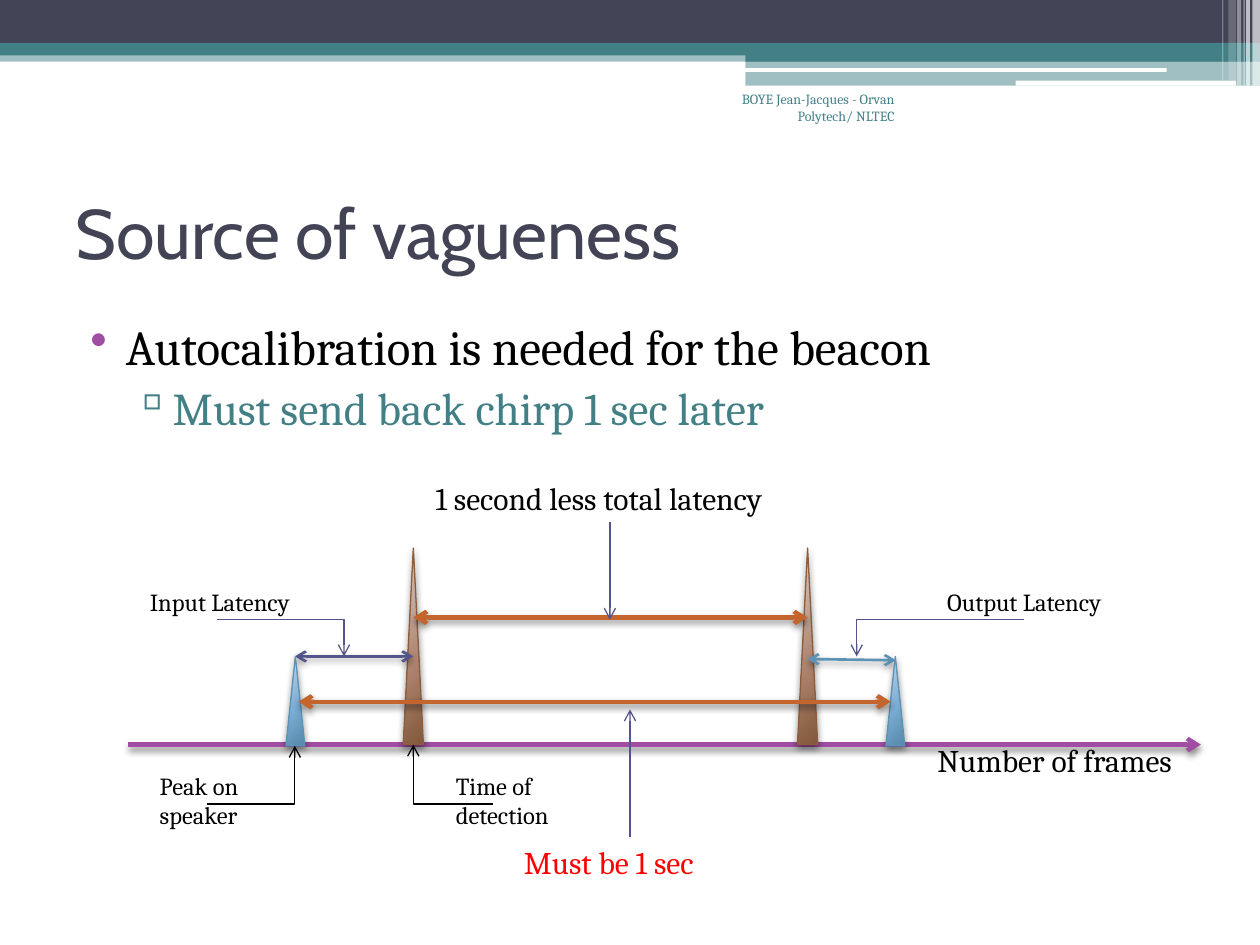
from pptx import Presentation
from pptx.dml.color import RGBColor
from pptx.enum.shapes import MSO_CONNECTOR, MSO_SHAPE
from pptx.enum.text import MSO_ANCHOR, PP_ALIGN
from pptx.oxml import parse_xml
from pptx.oxml.ns import nsdecls, qn
from pptx.util import Pt

HEX = {
    "navy": "424456", "teal": "438086", "white": "FFFFFF", "black": "000000",
    "red": "FF0000", "purple": "A04DA3", "indigo": "53548A",
    "orange": "C4652D", "blue": "5C92B5", "brown": "8B5D3D",
}
GRADS = {
    "brown": ("DBCCC6", "B18874", "825739"),
    "blue": ("C7D9EA", "7CADD4", "5688A9"),
}

BANDS = [
    (0, 28.8, 720, 6.5, "teal", 50),
    (0, 0, 720, 24.5, "navy", 100),
    (0, 24.5, 720, 7.2, "teal", 100),
    (426, 28.1, 294, 7.2, "teal", 100),
    (426, 34.6, 294, 14.4, "teal", 50),
]
PILLS = [(425.5, 38.9, 241.2, 2.2), (580.3, 46.1, 126, 2.9)]
STRIPES = [
    (715.7, 4.3, 49, 65), (712.1, 2.2, 49, 65), (710.6, 0.7, 49, 60),
    (707, 2.2, 49, 40), (702, 4.3, 46, 20), (698.4, 0.7, 46, 30),
]

TITLE = "Source of vagueness"
BODY = [
    ("Autocalibration is needed for the beacon",
     dict(size=28, bullet="•", tint="purple", left=28.8, hang=20.2)),
    ("Must send back chirp 1 sec later",
     dict(size=26, color="teal", level=1, bullet="▫", tint="teal",
          left=51.8, hang=19.4)),
]
CREDIT = "BOYE Jean-Jacques - Orvan Polytech/ NLTEC"
LABELS = [
    ("Number of frames", (528.5, 419.8, 174.2, 28.8), 18, "black"),
    ("Peak on speaker", (84.2, 437, 78.5, 41), 14, "black"),
    ("Time of detection", (253.4, 437, 90, 41), 14, "black"),
    ("Output Latency", (534.2, 331.9, 123.8, 24.5), 14, "black"),
    ("Input Latency", (78.5, 331.9, 123.8, 24.5), 14, "black"),
    ("Must be 1 sec", (292.3, 478.1, 146.2, 28.8), 18, "red"),
    ("1 second less total latency", (241.9, 270, 247.7, 28.8), 18, "black"),
]

BASE = 425.5
HEARD = dict(tone="brown", width=11.5, height=112.3, base=BASE)
SENT = dict(tone="blue", width=10.8, height=51.1, base=BASE + 0.7)
IN_SENT, IN_HEARD, OUT_HEARD, OUT_SENT = 168.8, 236.2, 461.5, 511.6

AXIS = (73.4, BASE, 686.2, BASE)
DELAYS = [
    ((461.5, 376.6, 511.9, 377.3), "blue"),
    ((168.5, 375.1, 236.2, 375.1), "indigo"),
]
SPANS = [(170.6, 401, 509, 401), (236.2, 352.8, 461.5, 352.8)]
BENDS = [
    ((118.1, 459.4, 168.5, 426.2), "black"),
    ((281.5, 459.4, 236.2, 425.5), "black"),
    ((585.4, 354.2, 489.6, 375.1), "indigo"),
    ((123.8, 354.2, 196.6, 375.1), "indigo"),
]
POINTERS = [(360, 478.1, 360, 405.4), (348.5, 298.1, 348.5, 354.2)]


def paint(name):
    return RGBColor.from_string(HEX[name])


def node(tag, inner="", **attrs):
    text = "".join(f' {key}="{val}"' for key, val in attrs.items())
    return parse_xml(f'<a:{tag} {nsdecls("a")}{text}>{inner}</a:{tag}>')


def shade(alpha=45):
    color = f'<a:srgbClr val="000000"><a:alpha val="{alpha * 1000}"/></a:srgbClr>'
    return node("outerShdw", color, blurRad=Pt(4), dist=Pt(2), dir=5400000,
                algn="ctr", rotWithShape=0)


def write(frame, words, font="Cambria", size=14, color="black", align=None,
          level=0, bullet=None, tint=None, left=0, hang=0):
    para = frame.paragraphs[0]
    if para.runs:
        para = frame.add_paragraph()
    para.alignment = align
    para.level = level
    run = para.add_run()
    run.text = words
    run.font.name = font
    run.font.size = Pt(size)
    run.font.color.rgb = paint(color)
    if bullet:
        para.space_before = Pt(3)
        props = para._p.get_or_add_pPr()
        props.set("marL", str(Pt(left)))
        props.set("indent", str(-Pt(hang)))
        props.append(node("buClr", f'<a:srgbClr val="{HEX[tint]}"/>'))
        props.append(node("buChar", char=bullet))


def frame(slide, box, anchor=MSO_ANCHOR.TOP):
    area = slide.shapes.add_textbox(*map(Pt, box)).text_frame
    area.word_wrap = True
    area.vertical_anchor = anchor
    return area


def block(slide, box, color, alpha=100, kind=MSO_SHAPE.RECTANGLE):
    shape = slide.shapes.add_shape(kind, *map(Pt, box))
    shape.shadow.inherit = False
    shape.line.fill.background()
    shape.fill.solid()
    shape.fill.fore_color.rgb = paint(color)
    if alpha < 100:
        tone = next(shape._element.spPr.iter(qn("a:srgbClr")))
        tone.append(node("alpha", val=alpha * 1000))


def spike(slide, mid, tone, width, height, base):
    box = (mid - width / 2, base - height, width, height)
    shape = slide.shapes.add_shape(MSO_SHAPE.ISOSCELES_TRIANGLE, *map(Pt, box))
    shape.line.color.rgb = paint(tone)
    shape.line.width = Pt(0.75)
    shape.shadow.inherit = False
    props = shape._element.spPr
    props.find(qn("a:effectLst")).append(shade())
    stops = "".join(f'<a:gs pos="{pos}000"><a:srgbClr val="{val}"/></a:gs>'
                    for pos, val in zip((0, 55, 100), GRADS[tone]))
    focus = '<a:fillToRect l="-40000" t="-90000" r="140000" b="190000"/>'
    props.find(qn("a:prstGeom")).addnext(node(
        "gradFill", f'<a:gsLst>{stops}</a:gsLst><a:path path="circle">{focus}</a:path>'))


def arrow(slide, ends, color, width=0.75, both=False, bent=False, alpha=0):
    kind = MSO_CONNECTOR.ELBOW if bent else MSO_CONNECTOR.STRAIGHT
    line = slide.shapes.add_connector(kind, *map(Pt, ends))
    line.line.color.rgb = paint(color)
    line.line.width = Pt(width)
    props = line._element.spPr
    if bent:
        props.find(qn("a:prstGeom")).set("prst", "bentConnector2")
    for tag in ("headEnd", "tailEnd") if both else ("tailEnd",):
        props.find(qn("a:ln")).append(node(tag, type="arrow"))
    glow = node("effectLst")
    if alpha:
        glow.append(shade(alpha))
    props.append(glow)


def main():
    deck = Presentation()
    deck.slide_width, deck.slide_height = Pt(720), Pt(540)
    slide = deck.slides.add_slide(deck.slide_layouts[6])

    for *box, color, alpha in BANDS:
        block(slide, box, color, alpha)
    for box in PILLS:
        block(slide, box, "white", kind=MSO_SHAPE.ROUNDED_RECTANGLE)
    for left, width, height, alpha in STRIPES:
        block(slide, (left, 0, width, height), "white", alpha)

    write(frame(slide, (36, 90, 648, 84.2), MSO_ANCHOR.MIDDLE), TITLE,
          font="Cabin", size=40, color="navy")
    body = frame(slide, (36, 177.1, 648, 340.6))
    for words, form in BODY:
        write(body, words, **form)
    write(frame(slide, (414, 48.2, 104.4, 36)), CREDIT, size=8, color="teal",
          align=PP_ALIGN.RIGHT)

    arrow(slide, AXIS, "purple", 2.5, alpha=45)
    for mid in (IN_HEARD, OUT_HEARD):
        spike(slide, mid, **HEARD)
    for ends, color in DELAYS:
        arrow(slide, ends, color, 1.5, both=True, alpha=40)
    for mid in (IN_SENT, OUT_SENT):
        spike(slide, mid, **SENT)
    for ends, color in BENDS:
        arrow(slide, ends, color, bent=True)
    for ends in SPANS:
        arrow(slide, ends, "orange", 2.5, both=True, alpha=45)
    for ends in POINTERS:
        arrow(slide, ends, "indigo")
    for words, box, size, color in LABELS:
        write(frame(slide, box), words, size=size, color=color)

    deck.save("out.pptx")


if __name__ == "__main__":
    main()
